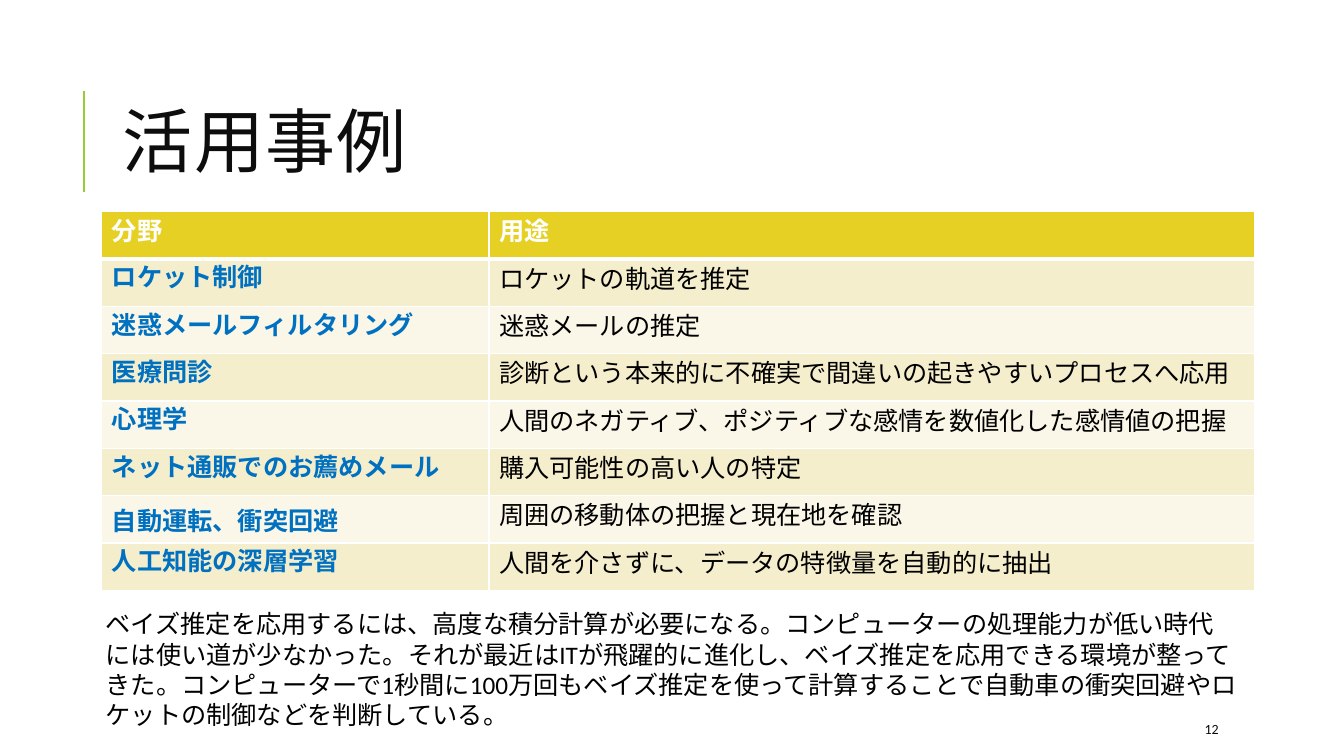
from lxml import etree
from pptx import Presentation
from pptx.dml.color import RGBColor
from pptx.enum.lang import MSO_LANGUAGE_ID
from pptx.enum.shapes import MSO_CONNECTOR
from pptx.enum.text import MSO_ANCHOR
from pptx.oxml.ns import qn
from pptx.util import Inches, Pt

STRAIGHT = MSO_CONNECTOR.STRAIGHT
MIDDLE, TOP = MSO_ANCHOR.MIDDLE, MSO_ANCHOR.TOP
JAPANESE = MSO_LANGUAGE_ID.JAPANESE

COLORS = {
    "accent": "99CB38",
    "ink": "0D0D0D",
    "black": "000000",
    "white": "FFFFFF",
    "field": "0070C0",
    "header": "E6D024",
    "band_dark": "F5EECD",
    "band_light": "FAF7E8",
}
BODY_FONT, FIELD_FONT, CJK_FONT = "Calibri", "Arial", "Noto Sans CJK JP"

HEADINGS = ("分野", "用途")
USES = [
    ("ロケット制御", "ロケットの軌道を推定"),
    ("迷惑メールフィルタリング", "迷惑メールの推定"),
    ("医療問診", "診断という本来的に不確実で間違いの起きやすいプロセスへ応用"),
    ("心理学", "人間のネガティブ、ポジティブな感情を数値化した感情値の把握"),
    ("ネット通販でのお薦めメール", "購入可能性の高い人の特定"),
    ("自動運転、衝突回避", "周囲の移動体の把握と現在地を確認"),
    ("人工知能の深層学習", "人間を介さずに、データの特徴量を自動的に抽出"),
]
SUMMARY = (
    "ベイズ推定を応用するには、高度な積分計算が必要になる。"
    "コンピューターの処理能力が低い時代には使い道が少なかった。"
    "それが最近はITが飛躍的に進化し、ベイズ推定を応用できる環境が整ってきた。"
    "コンピューターで1秒間に100万回もベイズ推定を使って計算することで"
    "自動車の衝突回避やロケットの制御などを判断している。"
)


def color(name):
    return RGBColor.from_string(COLORS[name])


def write(frame, text, size, ink, font=BODY_FONT, east_font=BODY_FONT, bold=False):
    """Fill a text frame with one formatted paragraph and return it."""
    frame.text = text
    para = frame.paragraphs[0]
    for span in para.runs:
        span.font.size = Pt(size)
        span.font.bold = bold
        span.font.name = font
        span.font.language_id = JAPANESE
        span.font.color.rgb = color(ink)
        east = etree.SubElement(span.font._element, qn("a:ea"))
        east.set("typeface", east_font)
    return para


def add_text(page, box, text, size, ink, anchor):
    shape = page.shapes.add_textbox(*(Inches(value) for value in box))
    frame = shape.text_frame
    frame.word_wrap = True
    frame.vertical_anchor = anchor
    return write(frame, text, size, ink)


def set_borders(cell, bottom_width):
    """Draw white borders; they must come before the fill in the cell."""
    properties = cell._tc.get_or_add_tcPr()
    widths = {"a:lnL": 1, "a:lnR": 1, "a:lnT": 1, "a:lnB": bottom_width}
    for index, (tag, width) in enumerate(widths.items()):
        line = etree.Element(qn(tag), w=str(Pt(width)))
        fill = etree.SubElement(line, qn("a:solidFill"))
        etree.SubElement(fill, qn("a:srgbClr"), val=COLORS["white"])
        properties.insert(index, line)


def add_title(page, box):
    left, top, width, height = box
    # Accent rule beside the title
    rule_x = Inches(left - 0.29)
    rule = page.shapes.add_connector(
        STRAIGHT, rule_x, Inches(top + 1.26), rule_x, Inches(top + 0.26))
    rule.line.color.rgb = color("accent")
    rule.line.width = Pt(1.5)
    etree.SubElement(rule._element.spPr, qn("a:effectLst"))
    # Title text
    para = add_text(page, box, "活用事例", 50, "ink", MIDDLE)
    para.line_spacing = 0.8
    para.runs[0].font._element.set("spc", "100")


def add_uses_table(page, box):
    rows = [HEADINGS, *USES]
    left, top, width, height = (Inches(value) for value in box)
    table = page.shapes.add_table(len(rows), 2, left, top, width, height).table
    table.columns[0].width = Inches(3.84)
    table.columns[1].width = width - Inches(3.84)
    for row_index, row in enumerate(rows):
        is_header = row_index == 0
        band = "band_dark" if row_index % 2 else "band_light"
        for column_index, text in enumerate(row):
            cell = table.cell(row_index, column_index)
            cell.fill.solid()
            cell.fill.fore_color.rgb = color("header" if is_header else band)
            set_borders(cell, 3 if is_header else 1)
            if is_header:
                write(cell.text_frame, text, 18, "white", bold=True)
            elif column_index == 0:
                font = CJK_FONT if text.startswith("自動運転") else FIELD_FONT
                write(cell.text_frame, text, 18, "field", font, font, bold=True)
            else:
                write(cell.text_frame, text, 18, "black")


def main():
    deck = Presentation()
    deck.slide_width, deck.slide_height = Inches(13.33), Inches(7.5)
    page = deck.slides.add_slide(deck.slide_layouts[6])
    add_title(page, (1.12, 0.64, 10.63, 1.64))
    add_uses_table(page, (1.01, 2.1, 11.43, 3.76))
    # Page number and summary
    add_text(page, (11.85, 7.08, 1.06, 0.3), "12", 10, "ink", MIDDLE)
    add_text(page, (0.95, 5.99, 11.43, 1.31), SUMMARY, 18, "black", TOP)
    deck.save("out.pptx")


if __name__ == "__main__":
    main()
